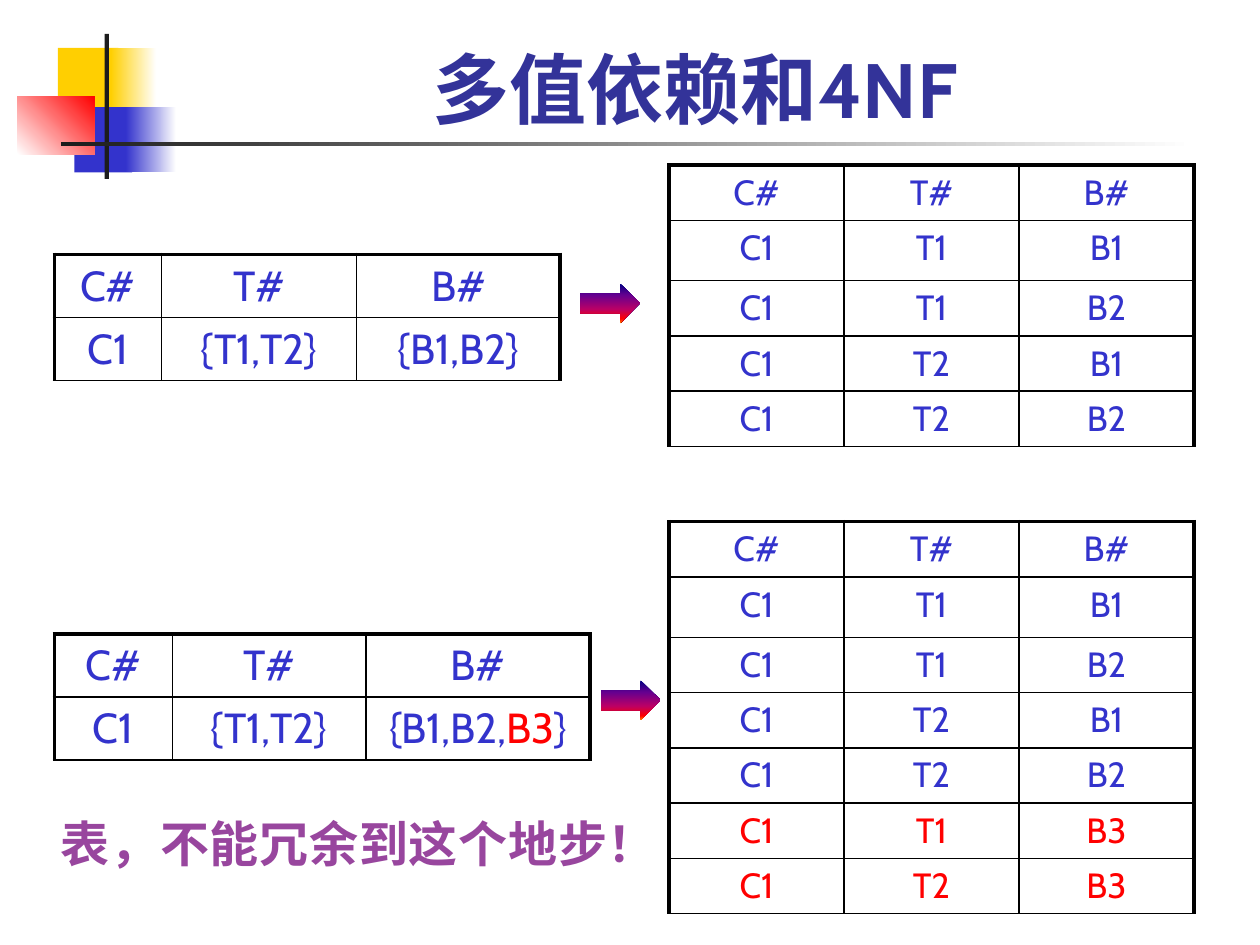
"""Build the slide on multivalued dependency and 4NF."""
from lxml.etree import SubElement as Sub
from pptx import Presentation
from pptx.dml.color import RGBColor as RGB
from pptx.enum.shapes import MSO_SHAPE as Kind
from pptx.enum.text import MSO_ANCHOR as Anchor, PP_ALIGN as Align
from pptx.oxml.ns import qn
from pptx.util import Pt

GOLD = RGB(0xFF, 0xCF, 0x01)
BLUE = RGB(0x33, 0x33, 0xCC)
NAVY = RGB(0x33, 0x33, 0x99)
RED = RGB(0xFF, 0x00, 0x00)
PLUM = RGB(0x98, 0x46, 0x9E)
INK = RGB(0x1C, 0x1C, 0x1C)
BLACK = RGB(0x00, 0x00, 0x00)
WHITE = RGB(0xFF, 0xFF, 0xFF)
DUSK = RGB(0x00, 0x00, 0x82)
GRAPE = RGB(0x66, 0x00, 0x8F)
ROSE = RGB(0xBA, 0x00, 0x66)
AMBER = RGB(0xFF, 0x82, 0x00)
LATIN, HAN = "Cabin", "Noto Sans CJK SC"


def add_run(para, text, form):
    run = para.add_run()
    run.text = text
    for name, value in form.items():
        if name == "color":
            run.font.color.rgb = value
        else:
            setattr(run.font, name, value)
    Sub(run.font._element, qn("a:ea"), typeface=HAN)
    return run


def add_block(kind, box, stops, angle=0):
    shape = slide.shapes.add_shape(kind, *map(Pt, box))
    shape.shadow.inherit = False
    shape.line.fill.background()
    if len(stops) == 1:
        shape.fill.solid()
        shape.fill.fore_color.rgb = stops[0][1]
        return
    shape.fill.gradient()
    shape.fill.gradient_angle = -angle % 360
    ramp = shape._element.spPr.find(".//" + qn("a:gsLst"))
    for stop in list(ramp):
        ramp.remove(stop)
    for place, color in stops:
        stop = Sub(ramp, qn("a:gs"), pos=str(place * 1000))
        Sub(stop, qn("a:srgbClr"), val=str(color))


deck = Presentation()
deck.slide_width, deck.slide_height = Pt(720), Pt(540)
slide = deck.slides.add_slide(deck.slide_layouts[6])

blocks = [
    ((33.1, 27.4, 34.6, 37.4), [(0, GOLD)], 0),
    ((63.4, 27.4, 25.9, 37.4), [(0, GOLD), (100, WHITE)], 0),
    ((42.5, 61.2, 33.1, 37.4), [(0, BLUE)], 0),
    ((72, 61.2, 28.8, 37.4), [(0, BLUE), (100, WHITE)], 0),
    ((10, 55.2, 44, 33.1), [(0, WHITE), (100, RED)], 315),
    ((59.8, 19.4, 2.4, 82.8), [(0, INK)], 0),
    ((34.6, 81.2, 648, 2.4), [(0, INK), (100, WHITE)], 0),
]
for box, stops, angle in blocks:
    add_block(Kind.RECTANGLE, box, stops, angle)

texts = [
    ("多值依赖和4NF", (90.7, 12.2, 613.4, 67.7), Anchor.BOTTOM, True, 0,
     dict(name=LATIN, size=Pt(44), bold=True, color=NAVY)),
    ("表，不能冗余到这个地步！", (25.2, 461.5, 360, 41), Anchor.TOP, False, 50,
     dict(name=HAN, size=Pt(28), bold=True, color=PLUM)),
]
for text, box, anchor, wrap, space, form in texts:
    frame = slide.shapes.add_textbox(*map(Pt, box)).text_frame
    frame.word_wrap = wrap
    frame.vertical_anchor = anchor
    para = frame.paragraphs[0]
    para.alignment = Align.CENTER
    run = add_run(para, text, form)
    if space:
        run.font._element.set("spc", str(space))

head = "C# T# B#"
pairs = ["C1 T1 B1", "C1 T1 B2", "C1 T2 B1", "C1 T2 B2"]
extra = ["|C1| |T1| |B3|", "|C1| |T2| |B3|"]
grids = [
    (31, 145.4, (61.2, 111.6, 116.2), 24, [head, "C1 {T1,T2} {B1,B2}"]),
    (382.3, 94.3, (100, 100, 100), 20, [head, *pairs]),
    (31, 362.2, (67.5, 110.7, 128), 24, [head, "C1 {T1,T2} {B1,B2,|B3|}"]),
    (382.3, 298.1, (100, 100, 100), 20, [head, *pairs, *extra]),
]
for left, top, widths, size, lines in grids:
    highs = [36 if size == 24 else 31.6] * len(lines)
    if size == 20:
        highs[1] = 34.5
    box = map(Pt, (left, top, sum(widths), sum(highs)))
    table = slide.shapes.add_table(len(lines), 3, *box).table
    table.first_row = table.horz_banding = False
    for col, width in zip(table.columns, widths):
        col.width = Pt(width)
    for r, line in enumerate(lines):
        table.rows[r].height = Pt(highs[r])
        for c, text in enumerate(line.split()):
            cell = table.cell(r, c)
            para = cell.text_frame.paragraphs[0]
            para.alignment = Align.CENTER
            for n, part in enumerate(text.split("|")):
                if part:
                    add_run(para, part, dict(name=LATIN, size=Pt(size),
                                             color=RED if n % 2 else BLUE))
            edges = {"L": c == 0, "R": c == 2, "T": r == 0, "B": False}
            for side, thick in edges.items():
                edge = Sub(cell._tc.get_or_add_tcPr(), qn("a:ln" + side),
                           w=str(Pt(2.25 if thick else 1)))
                fill = Sub(edge, qn("a:solidFill"))
                Sub(fill, qn("a:srgbClr"), val=str(BLACK))
            cell.fill.background()

flame = [(0, DUSK), (30, GRAPE), (65, ROSE), (90, RED), (100, AMBER)]
for left, top in [(331.7, 162), (343.4, 388.8)]:
    add_block(Kind.RIGHT_ARROW, (left, top, 34, 22.6), flame, 90)

deck.save("out.pptx")
